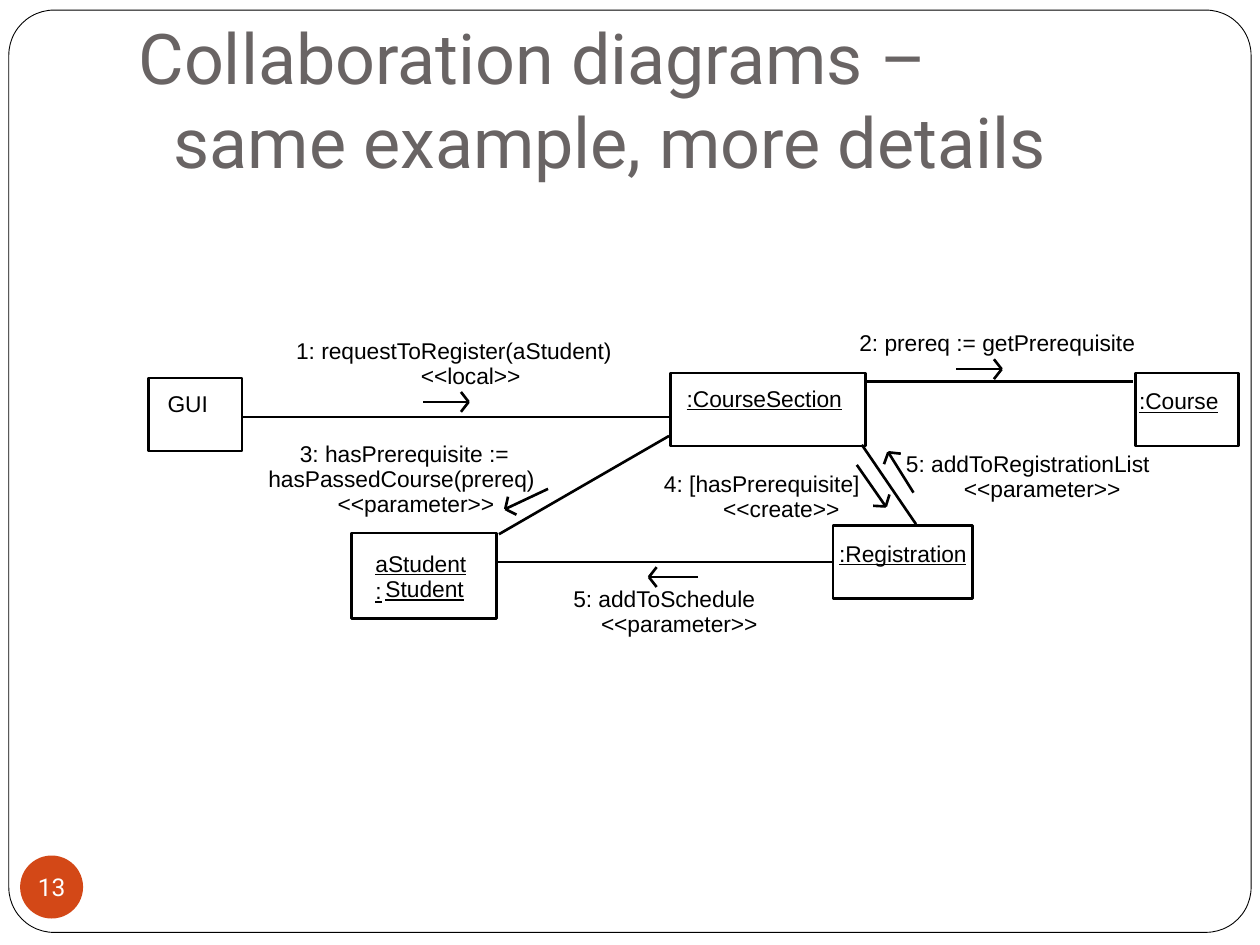
from math import atan2, cos, sin, radians
from lxml.etree import SubElement
from pptx import Presentation
from pptx.dml.color import RGBColor
from pptx.enum.shapes import MSO_CONNECTOR as Link, MSO_SHAPE as Kind
from pptx.enum.text import MSO_ANCHOR as Anchor, MSO_AUTO_SIZE as Fit, PP_ALIGN as Align
from pptx.oxml.ns import qn
from pptx.util import Inches, Pt

COLORS = {"white": "FFFFFF", "black": "000000", "badge": "D34817", "title": "696464"}
ROW, PITCH = 0.22, 0.2
BARB, SPREAD = 0.1, radians(52)

NODES = [
    (0.18, 0.5, 0.74, 0.58, False, [(0.15, 0.09, 0.42, "GUI")]),
    (4.32, 0.46, 1.55, 0.58, True, [(0.13, 0.09, 1.24, ":CourseSection")]),
    (8.01, 0.46, 0.82, 0.58, True, [(0.03, 0.11, 0.63, ":Course")]),
    (1.79, 1.73, 1.15, 0.68, True,
     [(0.19, 0.13, 0.77, "aStudent:"), (0.27, 0.33, 0.73, "Student")]),
    (5.61, 1.67, 1.11, 0.58, True, [(0.05, 0.11, 1.15, ":Registration")]),
]
LINKS = [
    (4.31, 0.81, 0.93, 0.81),
    (4.31, 0.96, 2.96, 1.74),
    (2.94, 1.96, 5.6, 1.96),
    (5.84, 1.03, 6.27, 1.66),
    (5.88, 0.53, 7.99, 0.53),
]
ARROWS = [
    (2.36, 0.69, 2.72, 0.69),
    (4.54, 2.08, 4.15, 2.08),
    (3.35, 1.38, 3.01, 1.54),
    (5.8, 1.19, 6.03, 1.52),
    (6.25, 1.41, 6.05, 1.09),
    (6.59, 0.43, 6.95, 0.43),
]
CALLS = [
    (0.17, [(1.35, 2.54, "1: requestToRegister(aStudent)"), (2.34, 0.8, "<<local>>")]),
    (0.11, [(5.82, 2.2, "2: prereq := getPrerequisite")]),
    (0.99, [(1.38, 1.66, "3: hasPrerequisite :="),
            (1.13, 2.12, "hasPassedCourse(prereq)"),
            (1.68, 1.25, "<<parameter>>")]),
    (1.23, [(4.27, 1.66, "4: [hasPrerequisite]"), (4.74, 0.93, "<<create>>")]),
    (1.07, [(6.19, 1.96, "5: addToRegistrationList"), (6.65, 1.25, "<<parameter>>")]),
    (2.14, [(3.55, 1.47, "5: addToSchedule"), (3.77, 1.25, "<<parameter>>")]),
]


def tint(name):
    return RGBColor.from_string(COLORS[name])


def style(par, name, size, color):
    par.font.name, par.font.size = name, Pt(size)
    par.font.color.rgb = tint(color)


def pad(frame, left=0, top=0, right=0, bottom=0):
    frame.margin_left, frame.margin_top = Inches(left), Inches(top)
    frame.margin_right, frame.margin_bottom = Inches(right), Inches(bottom)


def add_form(slide, kind, box, fill=None, line=None, width=1.5):
    form = slide.shapes.add_shape(kind, *map(Inches, box))
    form.shadow.inherit = False
    if fill:
        form.fill.solid()
        form.fill.fore_color.rgb = tint(fill)
    else:
        form.fill.background()
    if line:
        form.line.color.rgb = tint(line)
        form.line.width = Pt(width)
    else:
        form.line.fill.background()
    return form


def add_line(slide, x1, y1, x2, y2):
    line = slide.shapes.add_connector(Link.STRAIGHT, *map(Inches, (x1, y1, x2, y2)))
    line.line.color.rgb = tint("black")
    line.line.width = Pt(1.5)
    SubElement(line._element.spPr, qn("a:effectLst"))


def add_arrow(slide, x1, y1, x2, y2):
    add_line(slide, x1, y1, x2, y2)
    back = atan2(y1 - y2, x1 - x2)
    for turn in (back - SPREAD, back + SPREAD):
        add_line(slide, x2 + BARB * cos(turn), y2 + BARB * sin(turn), x2, y2)


def add_text(slide, x, y, width, text, under=False):
    frame = slide.shapes.add_textbox(*map(Inches, (x, y, width, ROW))).text_frame
    pad(frame)
    frame.word_wrap = False
    frame.auto_size = Fit.SHAPE_TO_FIT_TEXT
    par = frame.paragraphs[0]
    par.text = text
    style(par, "Arial", 13, "black")
    if under:
        par.font.underline = True


def add_frame(slide, box):
    form = add_form(slide, Kind.ROUNDED_RECTANGLE, box, "white", "black", 0.5)
    form.adjustments[0] = 0.049


def add_badge(slide, box, text):
    frame = add_form(slide, Kind.OVAL, box, "badge").text_frame
    pad(frame)
    frame.word_wrap = False
    frame.vertical_anchor = Anchor.MIDDLE
    par = frame.paragraphs[0]
    par.text, par.alignment = text, Align.CENTER
    style(par, "Roboto", 14, "white")


def add_title(slide, box, text):
    title = slide.shapes.title
    title.left, title.top, title.width, title.height = map(Inches, box)
    frame = title.text_frame
    pad(frame, 0.1, 0.05, 0.1, 0.1)
    frame.word_wrap, frame.auto_size = True, Fit.NONE
    frame.vertical_anchor = Anchor.BOTTOM
    par = frame.paragraphs[0]
    par.text, par.alignment = text, Align.LEFT
    style(par, "Roboto", 40, "title")
    props = par._p.get_or_add_pPr()
    props.set("marL", str(Inches(0.28)))
    props.set("indent", str(-Inches(0.28)))
    tree = slide.shapes._spTree
    tree.remove(title._element)
    tree.append(title._element)


def add_graph(slide, left, top):
    for draw, lines in ((add_line, LINKS), (add_arrow, ARROWS)):
        for x1, y1, x2, y2 in lines:
            draw(slide, left + x1, top + y1, left + x2, top + y2)
    for x, y, width, height, under, rows in NODES:
        add_form(slide, Kind.RECTANGLE, (left + x, top + y, width, height), line="black")
        for dx, dy, span, text in rows:
            add_text(slide, left + x + dx, top + y + dy, span, text, under)
    for y, rows in CALLS:
        for i, (x, span, text) in enumerate(rows):
            add_text(slide, left + x, top + y + i * PITCH, span, text)


def main():
    deck = Presentation()
    deck.slide_width, deck.slide_height = Inches(10), Inches(7.5)
    slide = deck.slides.add_slide(deck.slide_layouts[5])
    add_frame(slide, (0.07, 0.08, 9.86, 7.32))
    add_badge(slide, (0.16, 6.79, 0.5, 0.5), "13")
    add_title(slide, (1, 0.3, 8.5, 1.25),
              "Collaboration diagrams –\vsame example, more details")
    add_graph(slide, 1, 2.5)
    deck.save("out.pptx")


if __name__ == "__main__":
    main()
